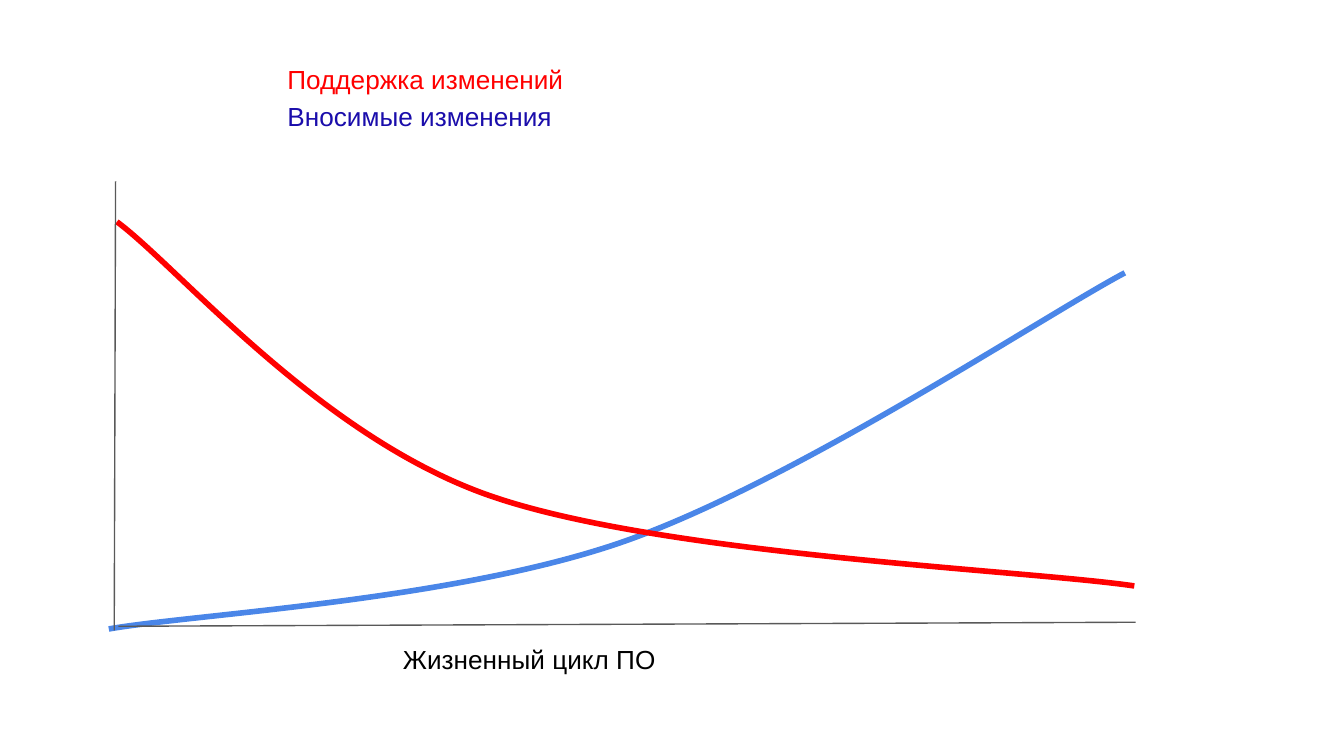
from lxml import etree
from pptx import Presentation
from pptx import util as u
from pptx.dml.color import RGBColor
from pptx.enum import shapes, text
from pptx.oxml.ns import qn

COLORS = {
    "blue": "4A86E8",
    "red": "FF0000",
    "axis": "595959",
    "navy": "1A0DAB",
    "black": "000000",
}
CURVES = [
    ("blue", [(0.81, 4.68), (1.44, 4.57), (3.38, 4.47), (4.64, 4.03),
              (5.9, 3.59), (7.75, 2.36), (8.37, 2.03)]),
    ("red", [(0.87, 1.65), (1.33, 1.99), (2.36, 3.23), (3.62, 3.68),
             (4.88, 4.13), (7.63, 4.24), (8.44, 4.36)]),
]
AXES = [(0.88, 4.66, 8.45, 4.63), (0.85, 4.69, 0.86, 1.35)]
LABELS = [
    ("Вносимые изменения", "navy", (2.04, 0.65, 4.38, 0.5)),
    ("Поддержка изменений", "red", (2.04, 0.37, 5.26, 0.52)),
    ("Жизненный цикл ПО", "black", (2.9, 4.69, 6.6, 0.52)),
]


def color(name):
    return RGBColor.from_string(COLORS[name])


def style_line(shape, name, width):
    shape.line.color.rgb = color(name)
    shape.line.width = u.Pt(width)


def add_curve(slide, name, points):
    start, *controls = [(u.Inches(x), u.Inches(y)) for x, y in points]
    builder = slide.shapes.build_freeform(*start)
    builder.add_line_segments(controls, close=False)
    shape = builder.convert_to_shape()
    outline = next(shape.element.iter(qn("a:path")))
    segments = outline.findall(qn("a:lnTo"))
    for first in range(0, len(segments), 3):
        bezier = etree.SubElement(outline, qn("a:cubicBezTo"))
        for segment in segments[first:first + 3]:
            bezier.append(segment[0])
            outline.remove(segment)
    shape.shadow.inherit = False
    shape.fill.background()
    style_line(shape, name, 3)


def add_axis(slide, ends):
    axis = slide.shapes.add_connector(
        shapes.MSO_CONNECTOR.STRAIGHT, *map(u.Inches, ends))
    style_line(axis, "axis", 0.75)
    etree.SubElement(axis.element.spPr, qn("a:effectLst"))


def add_label(slide, words, name, box):
    frame = slide.shapes.add_textbox(*map(u.Inches, box)).text_frame
    frame.word_wrap = True
    frame.vertical_anchor = text.MSO_ANCHOR.TOP
    frame.margin_left = frame.margin_right = u.Inches(0.1)
    frame.margin_top = frame.margin_bottom = u.Inches(0.1)
    frame.text = words
    font = frame.paragraphs[0].runs[0].font
    font.name = "Arial"
    font.size = u.Pt(14)
    font.color.rgb = color(name)


def main():
    presentation = Presentation()
    presentation.slide_width = u.Inches(10)
    presentation.slide_height = u.Inches(10 * 9 / 16)
    slide = presentation.slides.add_slide(presentation.slide_layouts[6])
    for name, points in CURVES:
        add_curve(slide, name, points)
    for ends in AXES:
        add_axis(slide, ends)
    for words, name, box in LABELS:
        add_label(slide, words, name, box)
    presentation.save("out.pptx")


if __name__ == "__main__":
    main()
